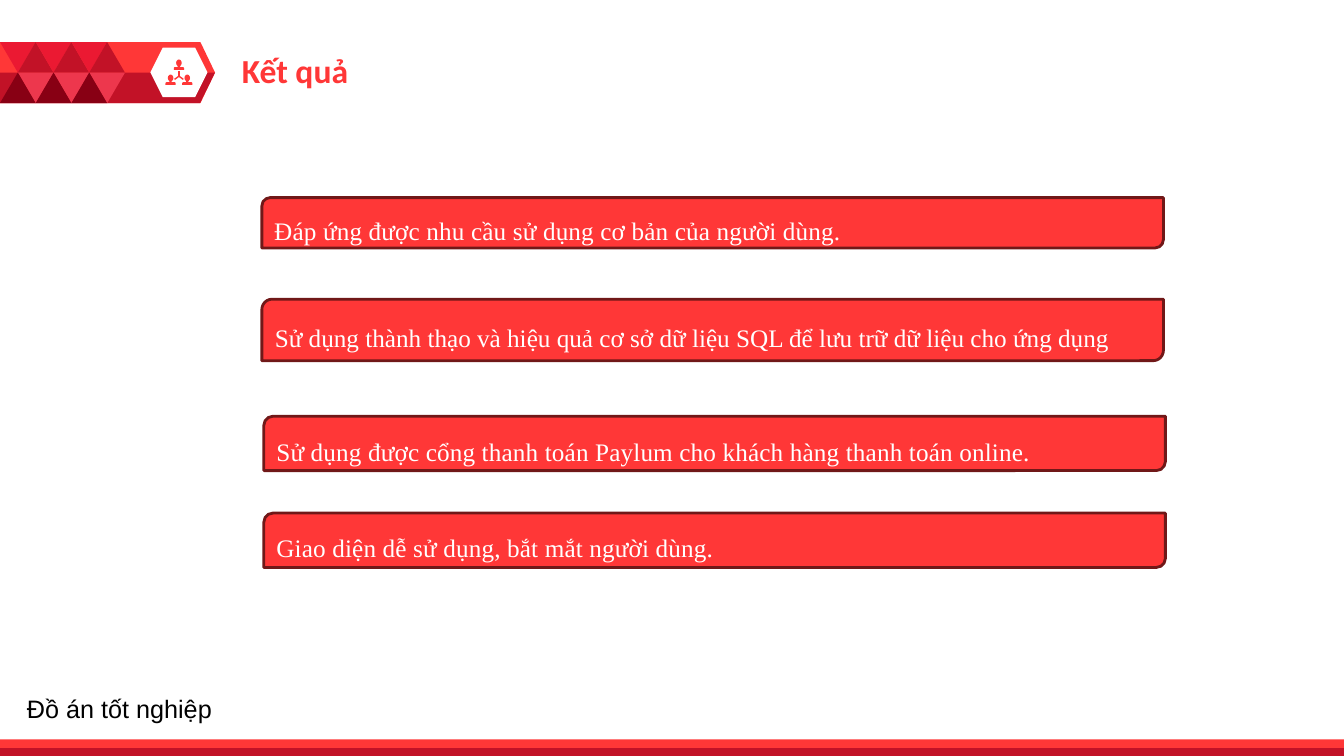
from dataclasses import dataclass

from lxml.etree import SubElement
from pptx import Presentation
from pptx.dml.color import RGBColor
from pptx.enum.shapes import MSO_CONNECTOR, MSO_SHAPE
from pptx.enum.text import MSO_ANCHOR, MSO_AUTO_SIZE, PP_ALIGN
from pptx.oxml.ns import qn
from pptx.util import Cm, Pt

SLIDE_W, SLIDE_H = 33.87, 19.05


@dataclass(frozen=True)
class Theme:
    red: str = "FF3737"
    bright: str = "EB1932"
    crimson: str = "C21227"
    rose: str = "ED374D"
    maroon: str = "880014"
    outline: str = "701818"
    white: str = "FFFFFF"
    black: str = "000000"
    title_font: str = "Calibri"
    body_font: str = "Times New Roman"
    footer_font: str = "Arial"
    title_size: int = 24
    body_size: int = 18


class Deck:
    def __init__(self, prs, theme):
        self.theme = theme
        self.s = prs.slides.add_slide(prs.slide_layouts[5])

    def paint(self, sp, color):
        sp.shadow.inherit = False
        sp.fill.solid()
        sp.fill.fore_color.rgb = RGBColor.from_string(color)
        sp.line.fill.background()
        return sp

    def shape(self, kind, x, y, w, h, color, adj=None):
        sp = self.s.shapes.add_shape(kind, Cm(x), Cm(y), Cm(w), Cm(h))
        if adj is not None:
            sp.adjustments[0] = adj
        return self.paint(sp, color)

    def polygon(self, points, color):
        points = [(Cm(x), Cm(y)) for x, y in points]
        builder = self.s.shapes.build_freeform(*points[0])
        builder.add_line_segments(points[1:], close=True)
        return self.paint(builder.convert_to_shape(), color)

    def line(self, x1, y1, x2, y2, color, width):
        c = self.s.shapes.add_connector(
            MSO_CONNECTOR.STRAIGHT, Cm(x1), Cm(y1), Cm(x2), Cm(y2))
        c.line.color.rgb = RGBColor.from_string(color)
        c.line.width = Pt(width)
        SubElement(c._element.spPr, qn("a:effectLst"))

    def set_text(self, tf, text, font, size, color, bold=False, align=PP_ALIGN.LEFT):
        tf.word_wrap = True
        tf.text = text
        p = tf.paragraphs[0]
        p.alignment = align
        r = p.runs[0]
        r.font.name, r.font.size, r.font.bold = font, Pt(size), bold
        r.font.color.rgb = RGBColor.from_string(color)
        return p

    def title(self, text, x, y, w, h):
        t, sp = self.theme, self.s.shapes.title
        sp.left, sp.top, sp.width, sp.height = Cm(x), Cm(y), Cm(w), Cm(h)
        tf = sp.text_frame
        tf.auto_size = MSO_AUTO_SIZE.NONE
        tf.vertical_anchor = MSO_ANCHOR.TOP
        self.set_text(tf, text, t.title_font, t.title_size, t.red, bold=True)

    def footer(self, text, x, y, w, h):
        t = self.theme
        tb = self.s.shapes.add_textbox(Cm(x), Cm(y), Cm(w), Cm(h))
        self.set_text(tb.text_frame, text, t.footer_font, t.body_size, t.black)

    def result(self, text, x, y, w, h, align, spacing):
        """Add one outlined result box; spacing is in hundredths of a point."""
        t = self.theme
        sp = self.shape(MSO_SHAPE.ROUND_2_DIAG_RECTANGLE, x, y, w, h, t.red)
        sp.line.color.rgb = RGBColor.from_string(t.outline)
        sp.line.width = Pt(2)
        sp.text_frame.vertical_anchor = MSO_ANCHOR.MIDDLE
        p = self.set_text(sp.text_frame, text, t.body_font, t.body_size, t.white, align=align)
        p.line_spacing = 1.5
        p.space_before = p.space_after = Pt(4)
        p.runs[0]._r.get_or_add_rPr().set("spc", str(spacing))

    def person(self, cx, top):
        red = self.theme.red
        self.shape(MSO_SHAPE.OVAL, cx - 0.07, top, 0.14, 0.17, red)
        self.shape(MSO_SHAPE.RECTANGLE, cx - 0.03, top + 0.15, 0.06, 0.06, red)
        self.shape(MSO_SHAPE.ROUND_2_SAME_RECTANGLE, cx - 0.13, top + 0.19, 0.26, 0.07, red, 0.5)


def draw_header(deck):
    t = deck.theme
    top, middle, bottom, tip = 1.06, 1.83, 2.6, 5.42
    deck.shape(MSO_SHAPE.PENTAGON, 0, top, tip, bottom - top, t.red, 0.239)
    deck.polygon([(0, middle), (tip, middle), (5.04, bottom), (0, bottom)], t.crimson)
    deck.shape(MSO_SHAPE.HEXAGON, 3.79, 1.2, 1.44, 1.25, t.white, 0.25)

    hub_x, hub_y = 4.51, 1.92
    for dx, dy in [(0, -0.12), (-0.11, 0.08), (0.11, 0.08)]:
        deck.line(hub_x, hub_y, hub_x + dx, hub_y + dy, t.red, 1)
    for dx, y in [(0, 1.5), (-0.21, 1.88), (0.21, 1.88)]:
        deck.person(hub_x + dx, y)

    width, height = 0.9, middle - top
    pattern = [
        (0, top, t.bright, 180),
        (width / 2, top, t.crimson, 0),
        (width / 2, middle, t.rose, 180),
        (0, middle, t.maroon, 0),
    ]
    for column in range(3):
        for offset, y, color, turn in pattern:
            x = column * width + offset
            sp = deck.shape(MSO_SHAPE.ISOSCELES_TRIANGLE, x, y, width, height, color)
            sp.rotation = turn


def main():
    prs = Presentation()
    prs.slide_width, prs.slide_height = Cm(SLIDE_W), Cm(SLIDE_H)
    t = Theme()
    deck = Deck(prs, t)

    draw_header(deck)
    for height, color in [(0.42, t.red), (0.2, t.crimson)]:
        deck.shape(MSO_SHAPE.RECTANGLE, 0, SLIDE_H - height, SLIDE_W, height, color)
    deck.title("Kết quả", 5.84, 1.14, 10.72, 1.27)
    deck.footer("Đồ án tốt nghiệp", 0.43, 17.35, 7.19, 1.02)

    results = [
        ("Đáp ứng được nhu cầu sử dụng cơ bản của người dùng.",
         6.6, 4.98, 1.27, PP_ALIGN.LEFT, 10),
        ("Sử dụng thành thạo và hiệu quả cơ sở dữ liệu SQL để lưu trữ dữ liệu cho ứng dụng",
         6.6, 7.54, 1.55, PP_ALIGN.LEFT, 0),
        ("Sử dụng được cổng thanh toán Paylum cho khách hàng thanh toán online.",
         6.65, 10.49, 1.37, PP_ALIGN.JUSTIFY, 10),
        ("Giao diện dễ sử dụng, bắt mắt người dùng.",
         6.65, 12.93, 1.37, PP_ALIGN.JUSTIFY, 10),
    ]
    for text, x, y, h, align, spacing in results:
        deck.result(text, x, y, 22.72, h, align, spacing)

    prs.save("out.pptx")


if __name__ == "__main__":
    main()
